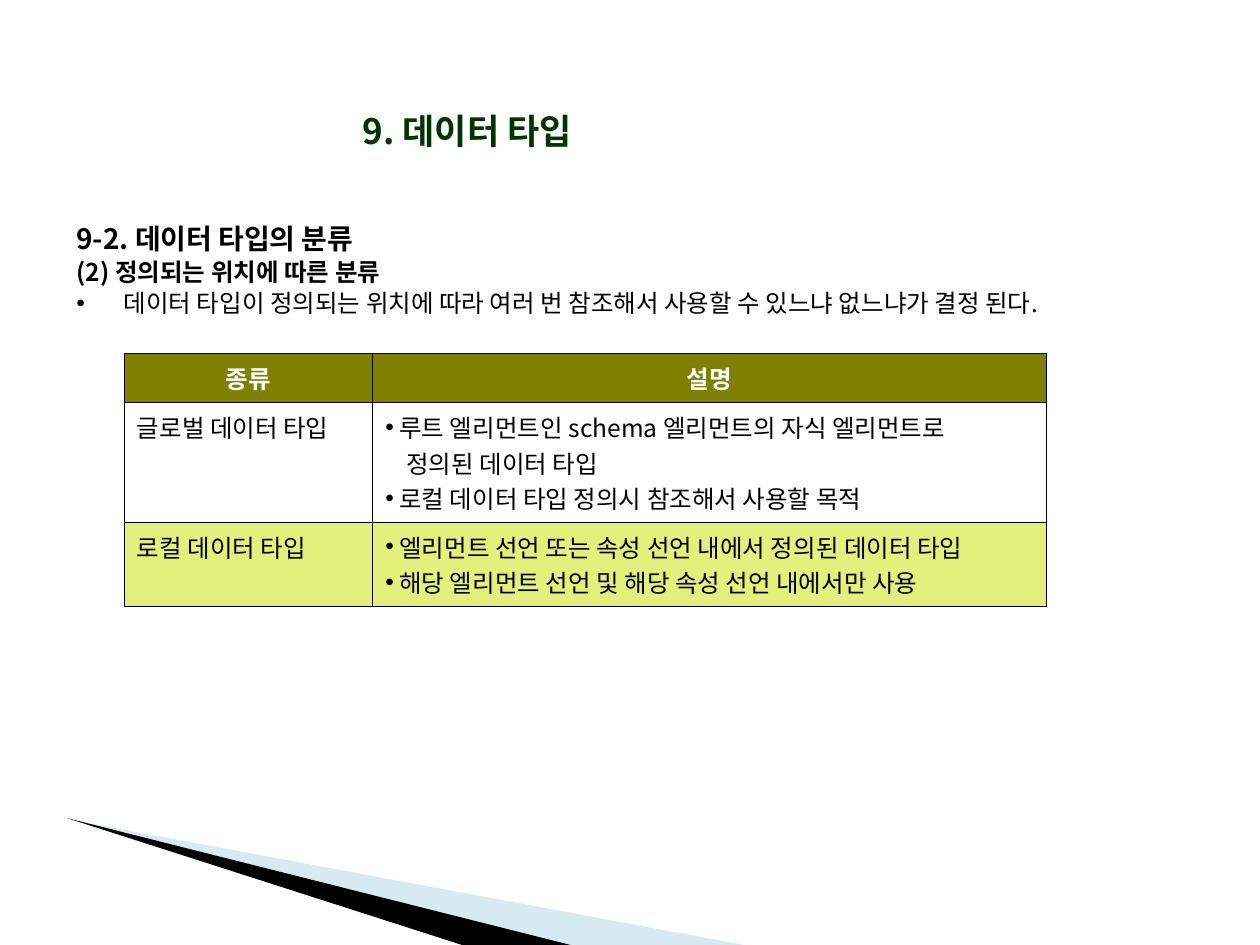
from lxml.etree import SubElement
from pptx import Presentation
from pptx.dml.color import RGBColor
from pptx.enum.text import MSO_ANCHOR as Anchor, MSO_AUTO_SIZE as Auto, PP_ALIGN as Align
from pptx.oxml.ns import qn
from pptx.util import Pt

BLACK = RGBColor(0, 0, 0)
WHITE = RGBColor(255, 255, 255)
GREEN = RGBColor(0, 0x33, 0)
OLIVE = RGBColor(0x80, 0x80, 0)
LIME = RGBColor(0xE2, 0xF0, 0x7C)
BLUE = RGBColor(0x9F, 0xCB, 0xDC)

HEAD = ["종류", "설명"]
GLOBAL = [
    ("루트 엘리먼트인 schema 엘리먼트의 자식 엘리먼트로", 8, True),
    ("정의된 데이터 타입", 12, False),
    ("로컬 데이터 타입 정의시 참조해서 사용할 목적", 8, True),
]
LOCAL = [
    ("엘리먼트 선언 또는 속성 선언 내에서 정의된 데이터 타입", 8, True),
    ("해당 엘리먼트 선언 및 해당 속성 선언 내에서만 사용", 8, True),
]


class Deck:
    font = "Noto Sans CJK KR"
    size = 14

    def __init__(self, wide, high):
        self.prs = Presentation()
        self.prs.slide_width, self.prs.slide_height = Pt(wide), Pt(high)
        self.slide = self.prs.slides.add_slide(self.prs.slide_layouts[1])

    def style(self, para, size=size, color=BLACK, bold=False):
        for run in para.runs:
            font = run.font
            font.name, font.size, font.bold = self.font, Pt(size), bold
            font.color.rgb = color
            SubElement(font._element, qn("a:ea"), typeface=self.font)

    def indent(self, para, left=0, bullet=False):
        props = para._p.get_or_add_pPr()
        props.set("marL", str(Pt(left)))
        props.set("indent", str(Pt(-left if bullet else 0)))
        if bullet:
            SubElement(props, qn("a:buFont"), typeface="Arial")
            SubElement(props, qn("a:buChar"), char="•")
        else:
            SubElement(props, qn("a:buNone"))

    def place(self, shape, box, anchor):
        shape.left, shape.top, shape.width, shape.height = map(Pt, box)
        frame = shape.text_frame
        frame.auto_size, frame.vertical_anchor = Auto.NONE, anchor
        frame.word_wrap = True
        return frame

    def title(self, text, box):
        frame = self.place(self.slide.shapes.title, box, Anchor.MIDDLE)
        frame.text = text
        para = frame.paragraphs[0]
        para.alignment = Align.CENTER
        self.style(para, 20, GREEN, True)

    def body(self, items, box):
        """Fill the body from (text, size, bold, left, bullet) items."""
        frame = self.place(self.slide.placeholders[1], box, Anchor.TOP)
        frame.text = "\n".join(item[0] for item in items)
        for i, (para, item) in enumerate(zip(frame.paragraphs, items)):
            _, size, bold, left, bullet = item
            self.indent(para, left, bullet)
            para.space_before = Pt(3.5 if i else 0)
            para.line_spacing = 0.85
            self.style(para, size, bold=bold)

    def border(self, cell):
        props = cell._tc.get_or_add_tcPr()
        for side in "LRTB":
            line = SubElement(props, qn("a:ln" + side), w=str(Pt(0.45)))
            fill = SubElement(line, qn("a:solidFill"))
            SubElement(fill, qn("a:srgbClr"), val=str(BLACK))

    def cell(self, cell, items, fill=None, head=False):
        self.border(cell)
        if fill is None:
            cell.fill.background()
        else:
            cell.fill.solid()
            cell.fill.fore_color.rgb = fill
        frame = cell.text_frame
        frame.text = "\n".join(item[0] for item in items)
        for para, (_, left, bullet) in zip(frame.paragraphs, items):
            self.indent(para, left, bullet)
            para.alignment = Align.CENTER if head else Align.LEFT
            self.style(para, color=WHITE if head else BLACK, bold=head)

    def table(self, rows, left, top, widths, heights):
        """Draw rows of (cells, fill); the first row is the heading."""
        box = map(Pt, (left, top, sum(widths), sum(heights)))
        table = self.slide.shapes.add_table(len(rows), len(widths), *box).table
        for col, width in zip(table.columns, widths):
            col.width = Pt(width)
        for r, (cells, fill) in enumerate(rows):
            table.rows[r].height = Pt(heights[r])
            for c, items in enumerate(cells):
                self.cell(table.cell(r, c), items, fill, r == 0)

    def wedge(self, points, color, alpha=100):
        first, *rest = [(Pt(x), Pt(y)) for x, y in points]
        path = self.slide.shapes.build_freeform(*first)
        path.add_line_segments(rest, close=True)
        shape = path.convert_to_shape()
        shape.shadow.inherit = False
        shape.line.fill.background()
        shape.fill.solid()
        shape.fill.fore_color.rgb = color
        if alpha < 100:
            tint = shape._element.spPr.find(qn("a:solidFill"))[0]
            SubElement(tint, qn("a:alpha"), val=str(alpha * 1000))


def plain(text):
    return [(text, 0, False)]


def main():
    deck = Deck(720, 540)
    deck.wedge([(39.6, 468.4), (425, 540), (325, 540)], BLUE, 40)
    deck.wedge([(38.2, 467.5), (326, 540), (264, 540)], BLACK)
    deck.title("9. 데이터 타입", (60, 55, 414, 39.5))
    deck.body([
        ("9-2. 데이터 타입의 분류", 16, True, 0, False),
        ("(2) 정의되는 위치에 따른 분류", 14, True, 0, False),
        ("데이터 타입이 정의되는 위치에 따라 여러 번 참조해서 사용할 수 있느냐 없느냐가 결정 된다.",
         14, False, 27, True),
    ], (36.5, 126, 647, 70.5))
    deck.table([
        ([plain(text) for text in HEAD], OLIVE),
        ([plain("글로벌 데이터 타입"), GLOBAL], None),
        ([plain("로컬 데이터 타입"), LOCAL], LIME),
    ], 71, 202, (142, 385), (28, 68, 48))
    deck.prs.save("out.pptx")


if __name__ == "__main__":
    main()
